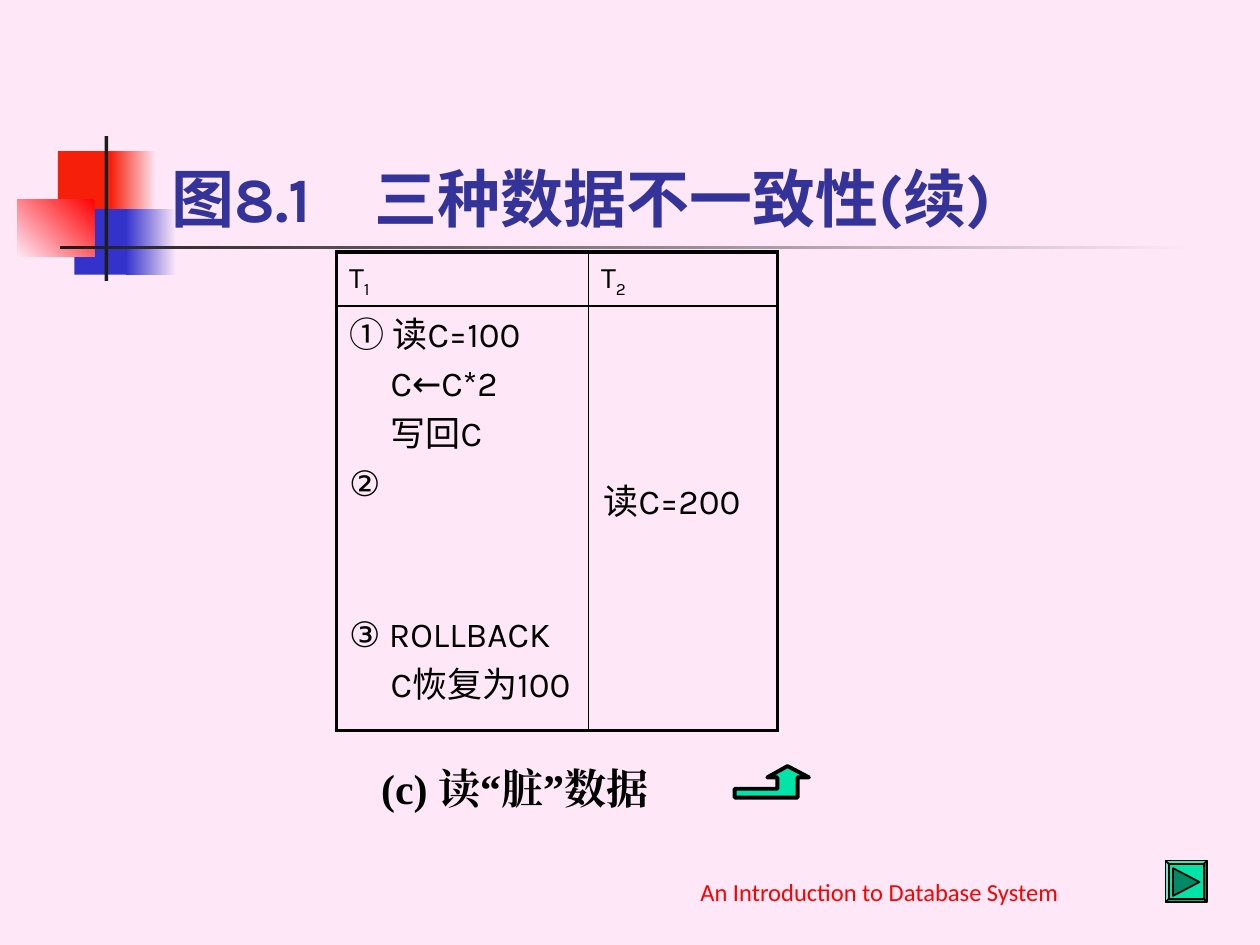
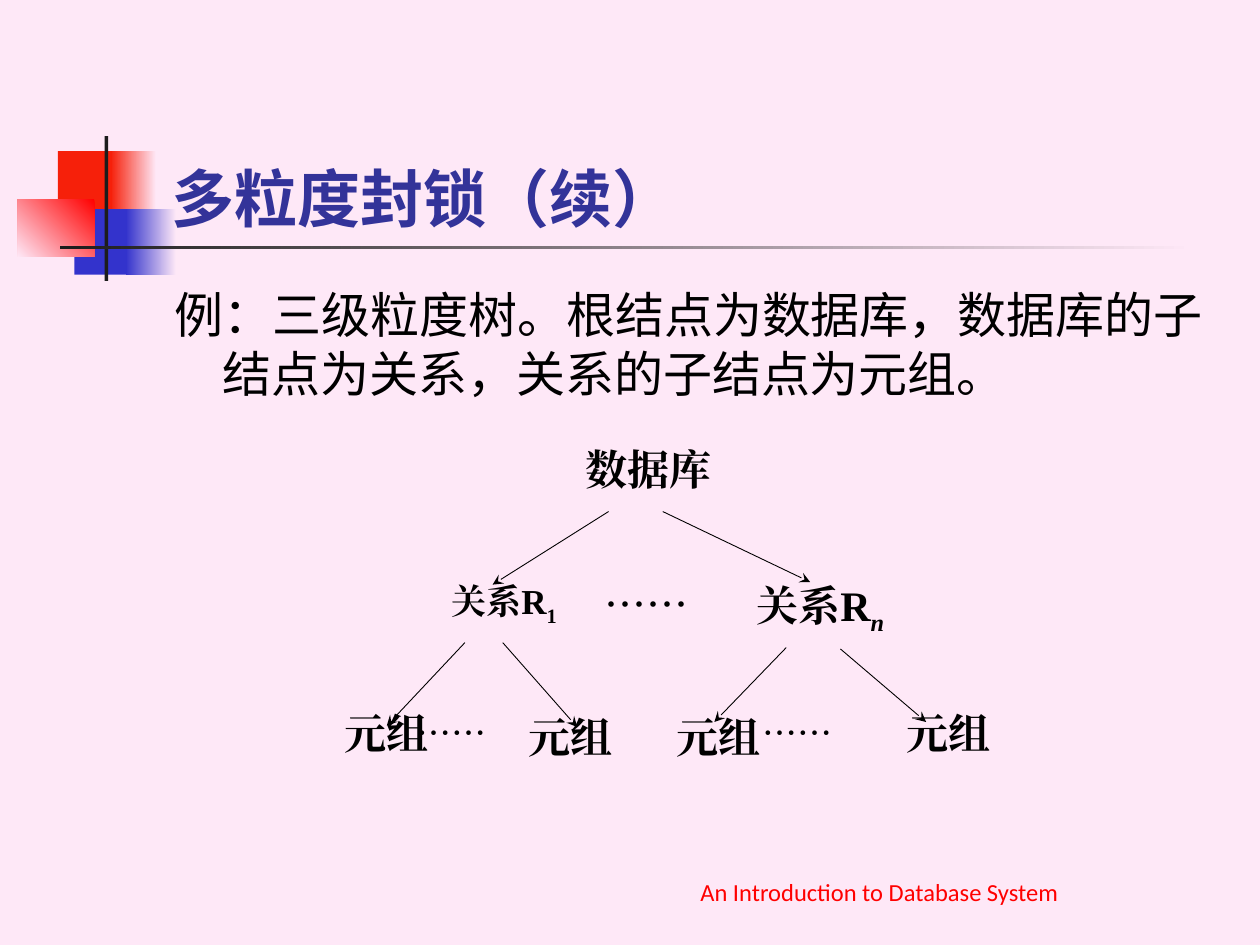
from dataclasses import dataclass

from lxml.etree import SubElement
from pptx import Presentation
from pptx.dml.color import RGBColor
from pptx.enum.shapes import MSO_CONNECTOR as Connector, MSO_SHAPE as Shape
from pptx.enum.text import MSO_ANCHOR as Anchor, MSO_AUTO_SIZE as AutoSize, PP_ALIGN as Align
from pptx.oxml.ns import qn
from pptx.util import Inches, Pt


@dataclass(frozen=True)
class Theme:
    background: str = "FEE8F7"
    red: str = "F6200A"
    bright_red: str = "FF0000"
    blue: str = "3333CC"
    charcoal: str = "1C1C1C"
    title: str = "333399"
    ink: str = "000000"
    green: str = "00E4A8"
    dark_green: str = "008965"
    body_font: str = "Karla"
    label_font: str = "Times New Roman"
    dots_font: str = "Noto Sans CJK SC"
    footer_font: str = "Calibri"
    title_size: int = 36
    body_size: int = 28
    label_size: int = 24
    small_size: int = 20
    header_size: int = 17
    footer_size: int = 14
    thick: float = 2.25
    thin: float = 1
    hairline: float = 0.5


THEME = Theme()
BODY = {"name": THEME.body_font, "size": THEME.body_size}
SMALL = BODY | {"size": THEME.small_size}
HEADER = BODY | {"size": THEME.header_size}
TITLE = BODY | {"size": THEME.title_size, "bold": True, "color": THEME.title}
LABEL = {"name": THEME.label_font, "size": THEME.label_size, "bold": True}
DOTS = {"name": THEME.dots_font, "size": THEME.label_size}
FOOTER = {"name": THEME.footer_font, "size": THEME.footer_size, "color": THEME.bright_red}
SUBSCRIPT = {"baseline": -25000}
CENTRED = {"alignment": Align.CENTER}
NODE = CENTRED | {"line_spacing": 0.96}


def rgb(value):
    return RGBColor.from_string(value)


def set_all(target, formats):
    for name, value in formats.items():
        setattr(target, name, value)


def add_span(para, text, style):
    span = para.add_run()
    span.text = text
    formats = dict(style)
    span.font.color.rgb = rgb(formats.pop("color", THEME.ink))
    formats["size"] = Pt(formats["size"])
    properties = span._r.get_or_add_rPr()
    if "baseline" in formats:
        properties.set("baseline", str(formats.pop("baseline")))
    set_all(span.font, formats)
    SubElement(properties, qn("a:ea"), typeface=style["name"])


def write(frame, paragraphs, style, **formats):
    """Fill a text frame; a paragraph is a string or a list of (text, changes)."""
    for index, spans in enumerate(paragraphs):
        para = frame.paragraphs[0] if index == 0 else frame.add_paragraph()
        set_all(para, formats)
        if isinstance(spans, str):
            spans = [(spans, {})]
        for text, changes in spans:
            add_span(para, text, style | changes)
    return frame.paragraphs


def indent(para, left, first=0):
    properties = para._p.get_or_add_pPr()
    properties.set("marL", str(Inches(left)))
    properties.set("indent", str(Inches(first)))


def add_tab(para, position):
    tabs = SubElement(para._p.get_or_add_pPr(), qn("a:tabLst"))
    SubElement(tabs, qn("a:tab"), pos=str(Inches(position)), algn="l")


def add_border(cell, side, width):
    line = SubElement(cell._tc.get_or_add_tcPr(), qn(f"a:ln{side}"), w=str(Pt(width)))
    fill = SubElement(line, qn("a:solidFill"))
    SubElement(fill, qn("a:srgbClr"), val=THEME.ink)


class SlideBuilder:
    def __init__(self):
        self.deck = Presentation()
        self.deck.slide_width, self.deck.slide_height = Inches(10), Inches(7.5)
        self.layout = self.deck.slide_layouts[5]
        fill = self.deck.slide_master.background.fill
        fill.solid()
        fill.fore_color.rgb = rgb(THEME.background)
        self.page = None

    def start(self, title):
        """Add a page with its title and footer; return the title paragraph."""
        self.page = self.deck.slides.add_slide(self.layout)
        if len(self.deck.slides) == 1:
            self.decorate_layout()
        box = self.page.shapes.title
        set_all(box, dict(zip(("left", "top", "width", "height"),
                              map(Inches, (1.26, 0.67, 8.52, 1.25)))))
        set_all(box.text_frame, {"vertical_anchor": Anchor.BOTTOM, "auto_size": AutoSize.NONE})
        para = write(box.text_frame, [title], TITLE, alignment=Align.LEFT)[0]
        self.text((4.37, 6.74, 5.22, 0.5), ["An Introduction to Database System"], FOOTER,
                  {"vertical_anchor": Anchor.BOTTOM}, **CENTRED)
        return para

    def decorate_layout(self):
        """Draw the squares and rules, then move them to the shared layout."""
        pale = THEME.background
        for at, colours, angle in (
            ((0.46, 1.2, 0.48, 0.52), [THEME.red], 0),
            ((0.88, 1.2, 0.36, 0.52), [pale, THEME.red], 180),
            ((0.59, 1.66, 0.46, 0.52), [THEME.blue], 0),
            ((1, 1.66, 0.4, 0.52), [pale, THEME.blue], 180),
            ((0.14, 1.58, 0.61, 0.46), [THEME.bright_red, pale], 225),
            ((0.83, 1.08, 0.03, 1.15), [THEME.charcoal], 0),
            ((0.48, 1.95, 9, 0.03), [pale, THEME.charcoal], 180),
        ):
            box = self.shape(Shape.RECTANGLE, at, colours, angle)
            self.layout.shapes.element.append(box.element)

    def shape(self, kind, at, colours, angle=0, line=None):
        return self.paint(self.page.shapes.add_shape(kind, *map(Inches, at)), colours, angle, line)

    def polygon(self, points, colour, line):
        start, *others = [tuple(map(Inches, point)) for point in points]
        builder = self.page.shapes.build_freeform(*start)
        builder.add_line_segments(others, close=True)
        return self.paint(builder.convert_to_shape(), [colour], line=line)

    def paint(self, box, colours, angle=0, line=None):
        box.shadow.inherit = False
        if len(colours) == 1:
            box.fill.solid()
            box.fill.fore_color.rgb = rgb(colours[0])
        else:
            box.fill.gradient()
            box.fill.gradient_angle = angle
            for stop, colour, position in zip(box.fill.gradient_stops, colours, (0, 1)):
                stop.color.rgb = rgb(colour)
                stop.position = position
        if line:
            box.line.color.rgb = rgb(THEME.ink)
            box.line.width = Pt(line)
        else:
            box.line.fill.background()
        return box

    def text(self, at, paragraphs, style, frame_formats=None, **formats):
        frame = self.page.shapes.add_textbox(*map(Inches, at)).text_frame
        set_all(frame, {"word_wrap": True} | (frame_formats or {}))
        return write(frame, paragraphs, style, **formats)

    def arrow(self, start, end):
        line = self.page.shapes.add_connector(Connector.STRAIGHT, *map(Inches, start + end))
        line.line.color.rgb = rgb(THEME.ink)
        line.line.width = Pt(THEME.hairline)
        SubElement(line.line._get_or_add_ln(), qn("a:tailEnd"), type="stealth")
        SubElement(line.element.spPr, qn("a:effectLst"))

    def table(self, at, widths, heights):
        """Add an unfilled table with a thick frame and thin inner rules."""
        grid = self.page.shapes.add_table(len(heights), len(widths), *map(Inches, at)).table
        set_all(grid, {"first_row": False, "horz_banding": False})
        for column, width in zip(grid.columns, widths):
            column.width = Inches(width)
        for row, height in zip(grid.rows, heights):
            row.height = Inches(height)
        last_row, last_column = len(heights) - 1, len(widths) - 1
        for r in range(len(heights)):
            for c in range(len(widths)):
                cell = grid.cell(r, c)
                outer = {"L": c == 0, "R": c == last_column, "T": r == 0, "B": r == last_row}
                for side, is_outer in outer.items():
                    add_border(cell, side, THEME.thick if is_outer else THEME.thin)
                cell.fill.background()
                set_all(cell, {"margin_left": Inches(0.1), "margin_right": 0,
                               "margin_top": Inches(0.07), "margin_bottom": 0})
        return grid


def build_dirty_read(slides):
    add_tab(slides.start("图8.1\t三种数据不一致性(续)"), 1.61)

    grid = slides.table((2.67, 2, 3.5, 3.8), (2, 1.5), (0.43, 3.37))
    for column, number in enumerate("12"):
        write(grid.cell(0, column).text_frame, [[("T", {}), (number, SUBSCRIPT)]],
              HEADER, line_spacing=0.9)

    steps = ["① 读C=100", "C←C*2", "写回C", "②", "③ ROLLBACK", "C恢复为100"]
    paragraphs = write(grid.cell(1, 0).text_frame, steps, SMALL)
    for step, para in zip(steps[1:], paragraphs[1:]):
        para.space_before = Pt(63 if step.startswith("③") else 5)
        if step[0] not in "②③":
            indent(para, 0.33)

    reading = grid.cell(1, 1)
    set_all(reading, {"margin_left": Inches(0.12), "margin_top": Inches(1.4)})
    write(reading.text_frame, ["读C=200"], SMALL)

    slides.text((2.67, 5.92, 2.83, 0.67), ["(c) 读“脏”数据"], LABEL,
                {"word_wrap": False, "vertical_anchor": Anchor.MIDDLE}, **CENTRED)
    return_arrow = [(5.83, 6.26), (6.17, 6.26), (6.17, 6.17), (6.09, 6.17), (6.25, 6.08),
                    (6.42, 6.17), (6.33, 6.17), (6.33, 6.33), (5.83, 6.33)]
    slides.polygon(return_arrow, THEME.green, THEME.thick)
    button = slides.shape(Shape.BEVEL, (9.25, 6.83, 0.33, 0.33), [THEME.green], line=THEME.thin)
    button.adjustments[0] = 0.08
    slides.polygon([(9.31, 6.89), (9.52, 7), (9.31, 7.11)], THEME.dark_green, THEME.thin)


def build_granularity_tree(slides):
    slides.start("多粒度封锁（续）")
    example = "例：三级粒度树。根结点为数据库，数据库的子结点为关系，关系的子结点为元组。"
    indent(slides.text((1.29, 2.21, 8.5, 1.2), [example], BODY)[0], 0.38, -0.38)

    for start, end in (
        ((4.83, 4.06), (3.91, 4.64)), ((5.26, 4.06), (6.43, 4.62)),
        ((3.69, 5.1), (3.07, 5.76)), ((3.99, 5.1), (4.58, 5.77)),
        ((6.24, 5.14), (5.67, 5.73)), ((6.67, 5.15), (7.35, 5.73)),
    ):
        slides.arrow(start, end)

    small = {"size": THEME.small_size}
    slides.text((4.43, 3.5, 1.44, 0.64), ["数据库"], LABEL, **NODE)
    slides.text((3.16, 4.55, 1.68, 0.91), [[("关系R", {}), ("1", SUBSCRIPT)]],
                LABEL | small, **NODE)
    slides.text((5.78, 4.55, 1.46, 0.57),
                [[("关系R", {}), ("n", SUBSCRIPT | {"italic": True})]], LABEL, **NODE)
    for left, top, width in ((2.5, 5.59, 1.14), (3.96, 5.62, 1.14),
                             (5.13, 5.62, 1.14), (6.81, 5.59, 1.44)):
        slides.text((left, top, width, 0.59), ["元组"], LABEL, **NODE)
    for left, top, changes in ((4.7, 4.57, {}), (3.21, 5.62, small), (5.95, 5.62, small)):
        slides.text((left, top, 1.46, 0.48), ["……"], DOTS | changes, line_spacing=0.96)


def main():
    slides = SlideBuilder()
    build_dirty_read(slides)
    build_granularity_tree(slides)
    slides.deck.save("out.pptx")


if __name__ == "__main__":
    main()
